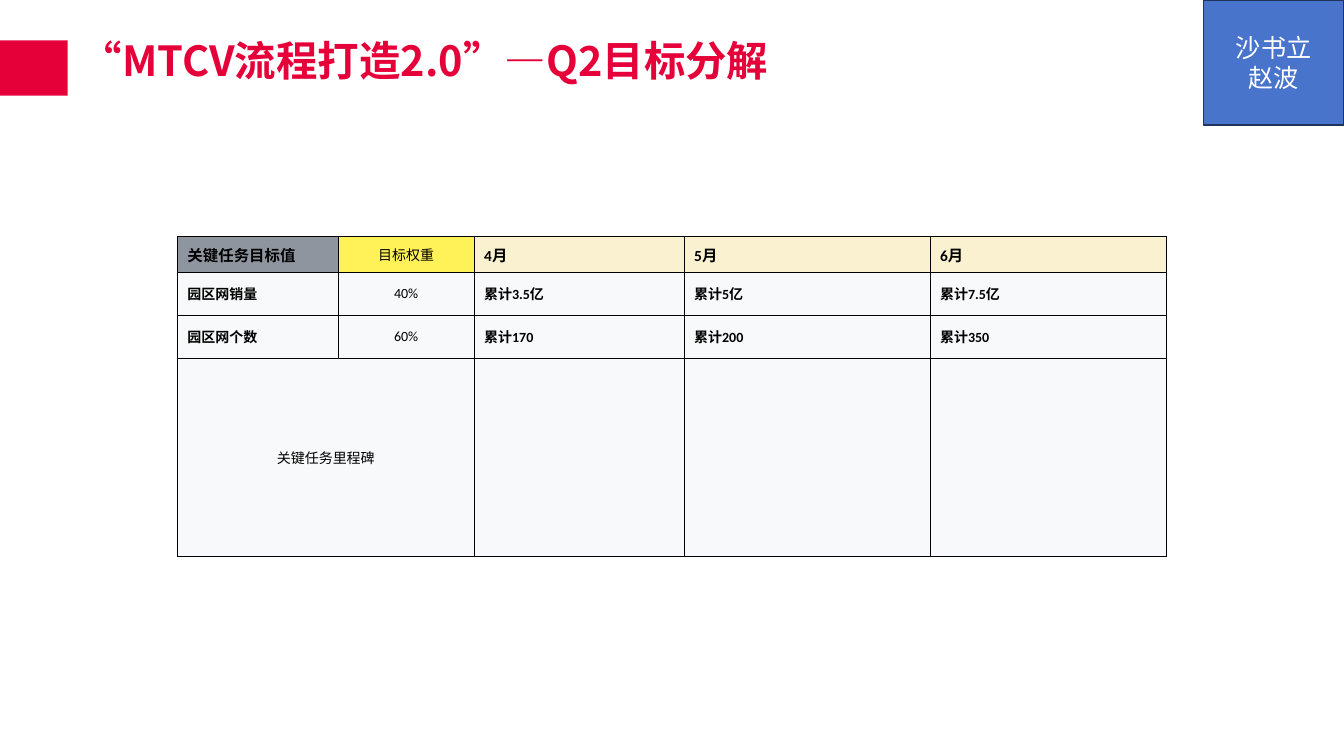
from dataclasses import dataclass
from typing import Optional

from lxml import etree
from pptx import Presentation
from pptx.dml.color import RGBColor
from pptx.enum.shapes import MSO_SHAPE
from pptx.enum.text import MSO_ANCHOR, MSO_AUTO_SIZE, PP_ALIGN
from pptx.oxml.ns import qn
from pptx.util import Pt

RECTANGLE = MSO_SHAPE.RECTANGLE
LEFT, CENTER = PP_ALIGN.LEFT, PP_ALIGN.CENTER
TOP, MIDDLE = MSO_ANCHOR.TOP, MSO_ANCHOR.MIDDLE
NO_AUTOFIT = MSO_AUTO_SIZE.NONE

RED = RGBColor(0xE6, 0x00, 0x39)
BLUE = RGBColor(0x48, 0x74, 0xCB)
NAVY = RGBColor(0x20, 0x33, 0x59)
GRAY = RGBColor(0x8F, 0x95, 0x9E)
YELLOW = RGBColor(0xFF, 0xF2, 0x58)
CREAM = RGBColor(0xFA, 0xF1, 0xD1)
PALE = RGBColor(0xF8, 0xF9, 0xFA)
BLACK = RGBColor(0x00, 0x00, 0x00)
WHITE = RGBColor(0xFF, 0xFF, 0xFF)

TITLE_FONT = "Noto Sans CJK SC"
BODY_FONT = "Calibri"
LABEL_COLUMN, WEIGHT_COLUMN = 0, 1
COLUMN_WIDTHS = (114.8, 97.2, 150, 175.7, 168.5)
ROW_HEIGHTS = (25.8, 30.6, 30.6, 142)
GOALS = (
    ("关键任务目标值", "目标权重", "4月", "5月", "6月"),
    ("园区网销量", "40%", "累计3.5亿", "累计5亿", "累计7.5亿"),
    ("园区网个数", "60%", "累计170", "累计200", "累计350"),
    ("关键任务里程碑", "", "", "", ""),
)
HEADER_FILLS = (GRAY, YELLOW, CREAM, CREAM, CREAM)
MILESTONE_ROW = len(GOALS) - 1


@dataclass(frozen=True)
class Block:
    left: float
    top: float
    width: float
    height: float
    fill: RGBColor
    line: Optional[RGBColor] = None
    text: str = ""


RED_BAR = Block(-0.7, 28.8, 49, 39.6, RED)
OWNERS = Block(859.6, 0, 100.4, 89.3, BLUE, NAVY, "沙书立\n赵波")


def style_text(frame, size: float, color: RGBColor, align: PP_ALIGN,
               bold: bool = False, font: str = BODY_FONT) -> None:
    for paragraph in frame.paragraphs:
        paragraph.alignment = align
        for run in paragraph.runs:
            run.font.size = Pt(size)
            run.font.bold = bold
            run.font.name = font
            run.font.color.rgb = color


def draw_block(slide, block: Block) -> None:
    shape = slide.shapes.add_shape(RECTANGLE, Pt(block.left), Pt(block.top),
                                   Pt(block.width), Pt(block.height))
    shape.shadow.inherit = False
    shape.fill.solid()
    shape.fill.fore_color.rgb = block.fill
    if block.line is None:
        shape.line.fill.background()
    else:
        shape.line.color.rgb = block.line
        shape.line.width = Pt(1)
    if block.text:
        shape.text_frame.text = block.text
        shape.text_frame.vertical_anchor = MIDDLE
        style_text(shape.text_frame, 18, WHITE, CENTER)


def draw_title(slide) -> None:
    title = slide.shapes.title
    title.left, title.top = Pt(50.4), Pt(25.2)
    title.width, title.height = Pt(764.6), Pt(83.5)
    frame = title.text_frame
    frame.text = "“MTCV流程打造2.0”—Q2目标分解"
    frame.word_wrap = True
    frame.auto_size = NO_AUTOFIT
    frame.vertical_anchor = TOP
    style_text(frame, 29.6, RED, LEFT, True, TITLE_FONT)
    heading = frame.paragraphs[0]
    heading.line_spacing = 0.9
    latin = heading.runs[0].font._element.find(qn("a:latin"))
    east_asian = etree.Element(qn("a:ea"), typeface=TITLE_FONT)
    latin.addnext(east_asian)


def add_borders(cell) -> None:
    properties = cell._tc.get_or_add_tcPr()
    for index, side in enumerate(("lnL", "lnR", "lnT", "lnB")):
        border = etree.Element(qn(f"a:{side}"), w=str(Pt(0.5)))
        fill = etree.SubElement(border, qn("a:solidFill"))
        etree.SubElement(fill, qn("a:srgbClr"), val=str(BLACK))
        properties.insert(index, border)


def draw_goals(slide) -> None:
    table = slide.shapes.add_table(
        len(ROW_HEIGHTS), len(COLUMN_WIDTHS), Pt(126.7), Pt(168.7),
        Pt(sum(COLUMN_WIDTHS)), Pt(sum(ROW_HEIGHTS))).table
    table.first_row = table.horz_banding = False
    for column, width in zip(table.columns, COLUMN_WIDTHS):
        column.width = Pt(width)
    for row, height in zip(table.rows, ROW_HEIGHTS):
        row.height = Pt(height)

    for r, values in enumerate(GOALS):
        for c, value in enumerate(values):
            cell = table.cell(r, c)
            centered = c == WEIGHT_COLUMN or r == MILESTONE_ROW
            size = 11 if r == 0 and c != WEIGHT_COLUMN else 10
            cell.vertical_anchor = MIDDLE
            cell.fill.solid()
            cell.fill.fore_color.rgb = HEADER_FILLS[c] if r == 0 else PALE
            add_borders(cell)
            if value:
                cell.text_frame.text = value
                style_text(cell.text_frame, size, BLACK,
                           CENTER if centered else LEFT, not centered)
    table.cell(MILESTONE_ROW, LABEL_COLUMN).merge(
        table.cell(MILESTONE_ROW, WEIGHT_COLUMN))


def main() -> None:
    deck = Presentation()
    deck.slide_width, deck.slide_height = Pt(960), Pt(540)
    slide = deck.slides.add_slide(deck.slide_layouts[5])
    # Heading
    draw_block(slide, RED_BAR)
    draw_title(slide)
    # Quarterly goals
    draw_goals(slide)
    # Owners
    draw_block(slide, OWNERS)
    deck.save("out.pptx")


if __name__ == "__main__":
    main()
